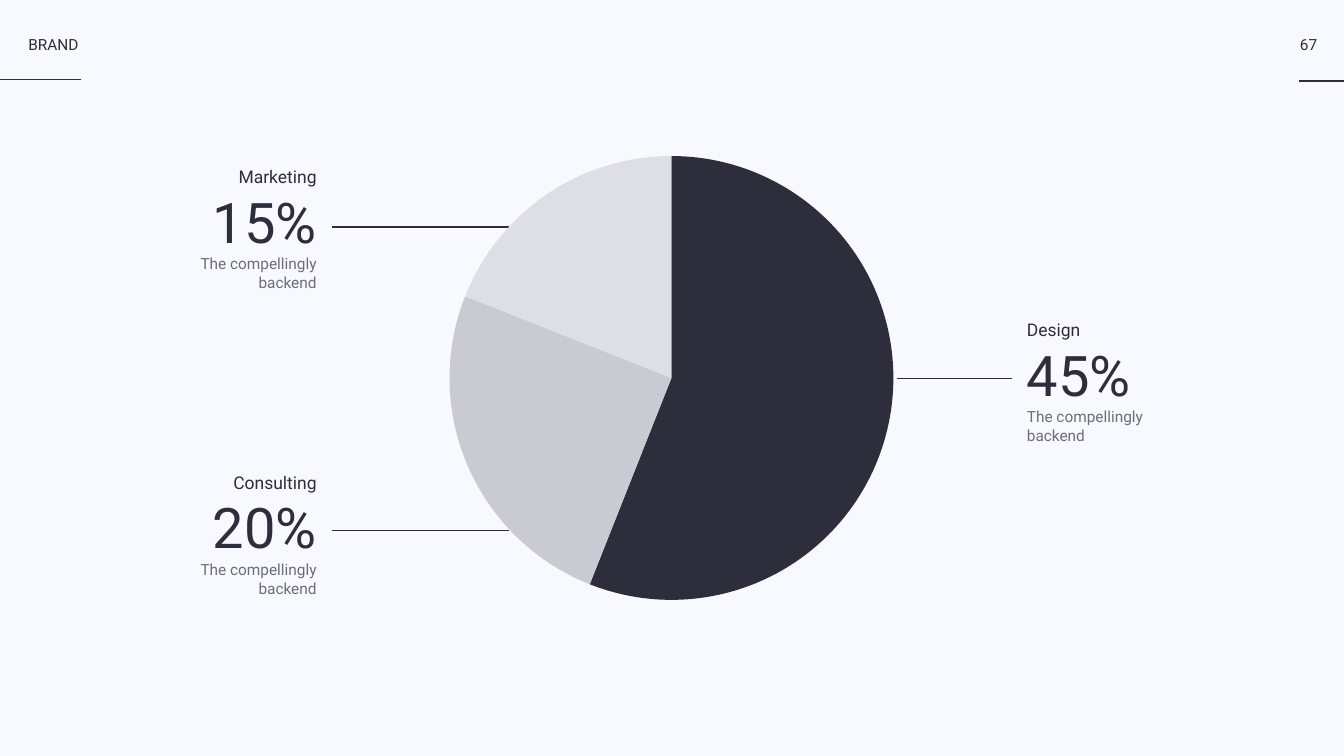
import pptx
import pptx.chart.data
import pptx.dml.color
import pptx.enum.chart
import pptx.enum.shapes
import pptx.enum.text
import pptx.oxml
import pptx.oxml.ns
import pptx.util

EMU_PER_PX = 9525
INK = "2C2E3C"
MUTED = "6A6E77"
BACKGROUND = "F7F9FF"
SLICE_COLORS = [INK, "C8CBD1", "DCE0E6"]
LEFT = pptx.enum.text.PP_ALIGN.LEFT
CENTER = pptx.enum.text.PP_ALIGN.CENTER
RIGHT = pptx.enum.text.PP_ALIGN.RIGHT
PLOT_LAYOUT = (
    f'<c:layout {pptx.oxml.ns.nsdecls("c")}><c:manualLayout>'
    '<c:layoutTarget val="inner"/><c:xMode val="edge"/><c:yMode val="edge"/>'
    '<c:x val="0.005"/><c:y val="0.005"/><c:w val="0.99"/><c:h val="0.99"/>'
    "</c:manualLayout></c:layout>"
)


def px(length):
    return pptx.util.Emu(length * EMU_PER_PX)


def color(hex_string):
    return pptx.dml.color.RGBColor.from_string(hex_string)


class SlideBuilder:
    font = "Roboto"
    line_width = 2

    def __init__(self, slide):
        self.slide = slide
        fill = slide.background.fill
        fill.solid()
        fill.fore_color.rgb = color(BACKGROUND)

    def rule(self, left, right, y):
        line = self.slide.shapes.add_connector(
            pptx.enum.shapes.MSO_CONNECTOR.STRAIGHT, px(left), px(y), px(right), px(y)
        )
        line.line.color.rgb = color(INK)
        line.line.width = pptx.util.Pt(self.line_width)
        properties = line._element.spPr
        properties.append(pptx.oxml.parse_xml(f'<a:effectLst {pptx.oxml.ns.nsdecls("a")}/>'))

    def text(self, left, top, width, height, lines, align=LEFT, wrap=False):
        box = self.slide.shapes.add_textbox(px(left), px(top), px(width), px(height))
        frame = box.text_frame
        frame.margin_left = frame.margin_right = frame.margin_top = frame.margin_bottom = 0
        frame.word_wrap = wrap
        frame.auto_size = pptx.enum.text.MSO_AUTO_SIZE.SHAPE_TO_FIT_TEXT
        frame.text = "\n".join(words for words, size, ink in lines)
        for para, (words, size, ink) in zip(frame.paragraphs, lines):
            para.alignment = align
            for span in para.runs:
                span.font.name = self.font
                span.font.size = pptx.util.Pt(size)
                span.font.color.rgb = color(ink)

    def callout(self, left, top, title, share, align):
        lines = [(title, 25, INK), (share, 80, INK), ("The compellingly backend", 22, MUTED)]
        self.text(left, top, 330, 224, lines, align, wrap=True)

    def pie(self, left, top, size, values):
        data = pptx.chart.data.CategoryChartData()
        data.categories = [str(number) for number in range(1, len(values) + 1)]
        data.add_series("Series 1", values)
        chart = self.slide.shapes.add_chart(
            pptx.enum.chart.XL_CHART_TYPE.PIE, px(left), px(top), px(size), px(size), data
        ).chart
        chart.has_legend = False
        chart.has_title = False
        chart.font.name = "Arial"
        chart.font.size = pptx.util.Pt(10)
        chart.font.color.rgb = color("000000")
        plot = chart.plots[0]
        plot.vary_by_categories = False
        for index, slice_color in enumerate(SLICE_COLORS):
            piece = plot.series[0].points[index].format
            piece.fill.solid()
            piece.fill.fore_color.rgb = color(slice_color)
            piece.line.fill.background()
        plot_area = chart._chartSpace.chart.plotArea
        for layout in plot_area.findall(pptx.oxml.ns.qn("c:layout")):
            plot_area.remove(layout)
        plot_area.insert(0, pptx.oxml.parse_xml(PLOT_LAYOUT))


def main():
    deck = pptx.Presentation()
    deck.slide_width, deck.slide_height = px(2560), px(1440)
    page = SlideBuilder(deck.slides.add_slide(deck.slide_layouts[6]))

    page.rule(0, 155, 152)
    page.text(54, 66, 101, 38, [("BRAND", 22, INK)])
    page.rule(2475, 2560, 154)
    page.text(2475, 66, 35, 38, [("67", 22, INK)], CENTER)

    for left, right, y in [(1708, 1928, 721), (633, 969, 432), (633, 969, 1010)]:
        page.rule(left, right, y)
    page.pie(852, 293, 854, [56, 25, 19])

    page.callout(1956, 608, "Design", "45%", LEFT)
    page.callout(273, 317, "Marketing", "15%", RIGHT)
    page.callout(273, 899, "Consulting", "20%", RIGHT)
    deck.save("out.pptx")


if __name__ == "__main__":
    main()
